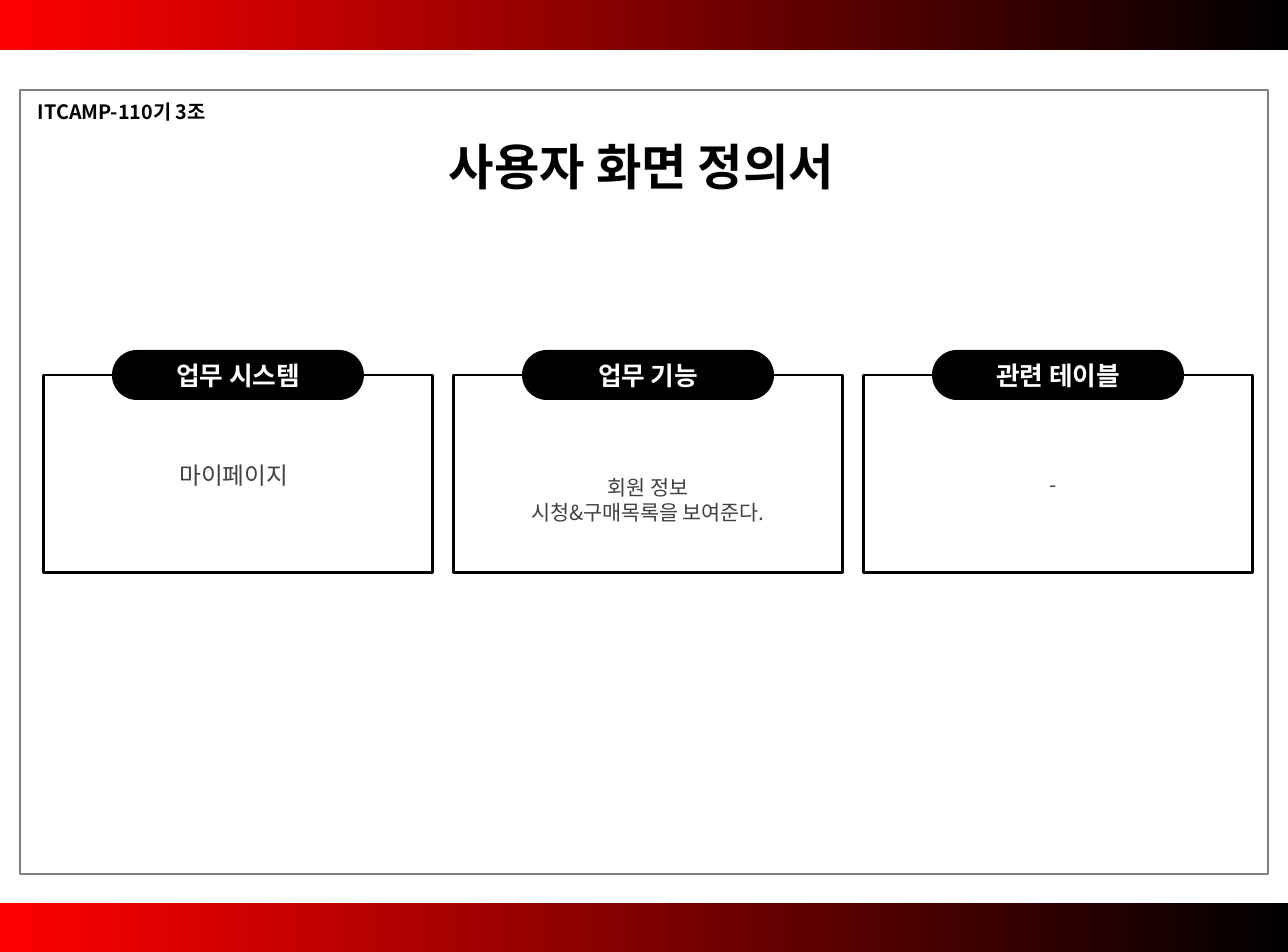
"""Build the user screen definition slide."""
from lxml import etree
from pptx import Presentation
from pptx.dml.color import RGBColor
from pptx.enum.shapes import MSO_SHAPE
from pptx.enum.text import MSO_ANCHOR, MSO_AUTO_SIZE, PP_ALIGN
from pptx.oxml.ns import qn
from pptx.util import Pt

RECT, PILL = MSO_SHAPE.RECTANGLE, MSO_SHAPE.ROUNDED_RECTANGLE
TOP, MIDDLE = MSO_ANCHOR.TOP, MSO_ANCHOR.MIDDLE
LEFT, CENTER = PP_ALIGN.LEFT, PP_ALIGN.CENTER
NO_FIT = MSO_AUTO_SIZE.NONE

TITLE = "사용자 화면 정의서"
TEAM = "ITCAMP-110기 3조"
CARDS = [
    {"label": "업무 시스템", "lines": ["마이페이지"], "size": 12, "box": (40, 454, 388, 43)},
    {"label": "업무 기능", "lines": ["회원 정보", "시청&구매목록을 보여준다."], "size": 10.5,
     "box": (454, 468, 388, 64)},
    {"label": "관련 테이블", "lines": ["-"], "size": 10.5, "box": (859, 465, 388, 38)},
]
FONT = "Noto Sans CJK KR"
BLACK, WHITE, GRAY, DARK, RED = "000000", "FFFFFF", "808080", "404040", "FF0000"
EMU_PER_PX = 6430
WIDTH, HEIGHT, BAR_H = 1288, 952, 50
CARD_X, CARD_Y, CARD_W, CARD_H, CARD_STEP = 44, 375, 389, 198, 410
PILL_W, PILL_H = 252, 50


def px(*lengths):
    return [n * EMU_PER_PX for n in lengths]


def rgb(color):
    return RGBColor.from_string(color)


def write(sp, lines, size, color, bold=False, align=CENTER, anchor=TOP, inset=(13, 6)):
    tf = sp.text_frame
    tf.word_wrap = True
    tf.auto_size = NO_FIT
    tf.vertical_anchor = anchor
    tf.margin_left = tf.margin_right = inset[0] * EMU_PER_PX
    tf.margin_top = tf.margin_bottom = inset[1] * EMU_PER_PX
    for i, line in enumerate(lines):
        p = tf.add_paragraph() if i else tf.paragraphs[0]
        p.alignment = align
        p.line_spacing = 1.0
        p.space_before = Pt(0)
        r = p.add_run()
        r.text = line
        r.font.size = Pt(size)
        r.font.bold = bold
        r.font.name = FONT
        r.font.color.rgb = rgb(color)
        etree.SubElement(r.font._element, qn("a:ea"), typeface=FONT)


def add_shape(s, kind, box, fill=None, line=None, width=1):
    sp = s.shapes.add_shape(kind, *px(*box))
    sp.shadow.inherit = False
    if fill:
        sp.fill.solid()
        sp.fill.fore_color.rgb = rgb(fill)
    else:
        sp.fill.background()
    if line:
        sp.line.color.rgb = rgb(line)
        sp.line.width = Pt(width)
    else:
        sp.line.fill.background()
    return sp


def add_bar(s, top):
    sp = add_shape(s, RECT, (0, top, WIDTH, BAR_H))
    sp.fill.gradient()
    sp.fill.gradient_angle = 0
    for stop, color in zip(sp.fill.gradient_stops, (RED, BLACK)):
        stop.color.rgb = rgb(color)


def add_card(s, index, card):
    x = CARD_X + index * CARD_STEP
    add_shape(s, RECT, (x, CARD_Y, CARD_W, CARD_H), line=BLACK, width=1.5)
    pill_box = (x + (CARD_W - PILL_W) // 2, CARD_Y - PILL_H // 2, PILL_W, PILL_H)
    sp = add_shape(s, PILL, pill_box, fill=BLACK)
    sp.adjustments[0] = 0.5
    write(sp, [card["label"]], 13, WHITE, bold=True, anchor=MIDDLE)
    sp = s.shapes.add_textbox(*px(*card["box"]))
    write(sp, card["lines"], card["size"], DARK, inset=(14, 7))


def main():
    prs = Presentation()
    prs.slide_width, prs.slide_height = px(WIDTH, HEIGHT)
    s = prs.slides.add_slide(prs.slide_layouts[5])
    title = s.shapes.title
    title.left, title.top, title.width, title.height = px(308, 130, 667, 72)
    write(title, [TITLE], 25, BLACK, bold=True)
    for i, card in enumerate(CARDS):
        add_card(s, i, card)
    for top in (HEIGHT - BAR_H + 1, 0):
        add_bar(s, top)
    add_shape(s, RECT, (20, 90, 1248, 784), line=GRAY)
    team = s.shapes.add_textbox(*px(25, 94, 573, 37))
    write(team, [TEAM], 10, BLACK, bold=True, align=LEFT)
    prs.save("out.pptx")


if __name__ == "__main__":
    main()
